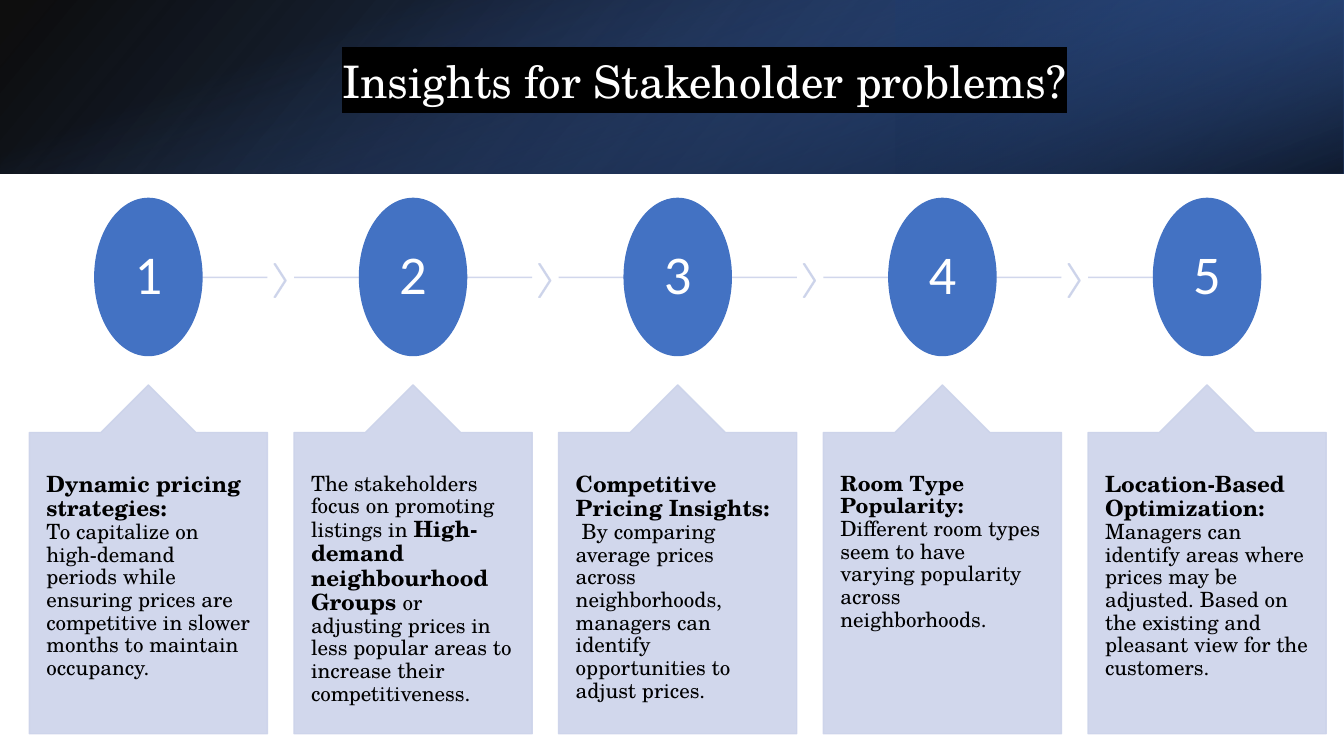
import pptx
import pptx.util
import pptx.dml.color
import pptx.enum.shapes
import pptx.enum.text
import pptx.oxml
import pptx.oxml.ns

Cm, Pt = pptx.util.Cm, pptx.util.Pt
RGBColor = pptx.dml.color.RGBColor
Kind = pptx.enum.shapes.MSO_SHAPE
Align = pptx.enum.text.PP_ALIGN
Anchor = pptx.enum.text.MSO_ANCHOR
qn = pptx.oxml.ns.qn

# Content: each card is a list of paragraphs, each a list of (text, size, bold)
TITLE = "Insights for Stakeholder problems?"
CARDS = [
    [[("Dynamic pricing strategies:", 16, True)],
     [("To capitalize on high-demand periods while ensuring prices are "
       "competitive in slower months to maintain occupancy.", 15, False)]],
    [[("The stakeholders focus on promoting listings in ", 15, False),
      ("High-demand neighbourhood Groups ", 16, True),
      ("or adjusting prices in less popular areas to increase their "
       "competitiveness.", 15, False)]],
    [[("Competitive Pricing Insights:", 16, True)],
     [(" By comparing average prices across neighborhoods, managers can "
       "identify opportunities to adjust prices.", 15, False)]],
    [[("Room Type Popularity:", 15, True),
      (" Different room types seem to have varying popularity across "
       "neighborhoods.", 15, False)]],
    [[("Location-Based Optimization: ", 16, True),
      ("Managers can identify areas where prices may be adjusted. Based on "
       "the existing and pleasant view for the customers.", 15, False)]],
]

# Colours and fonts
BLACK = RGBColor(0x00, 0x00, 0x00)
WHITE = RGBColor(0xFF, 0xFF, 0xFF)
NAVY = RGBColor(0x1F, 0x38, 0x64)
DEEP = RGBColor(0x2F, 0x54, 0x96)
BLUE = RGBColor(0x44, 0x72, 0xC4)
DISC = RGBColor(0x43, 0x72, 0xC3)
PALE = RGBColor(0xCC, 0xD3, 0xEA)
SERIF, SANS = "TeX Gyre Schola", "Calibri"

# Sizes in cm
WIDE, HIGH, BAND = 33.87, 19.05, 4.37
LEFT, STEP, CARD = 0.74, 6.67, 6.0
AXIS = 6.99

# Header layers: box, rotation, flipped, gradient angle, stops (place, colour, opacity)
LAYERS = [
    ((0, 0, WIDE, BAND), 0, True, 140, [(0, BLACK, 95), (100, DEEP, 100)]),
    ((WIDE * 2 / 3, 0, WIDE / 3, BAND), 180, True, 320,
     [(0, NAVY, 67), (19, NAVY, 67), (100, BLUE, 78)]),
    (((WIDE - BAND) / 2, (BAND - WIDE) / 2, BAND, WIDE), 90, False, 340,
     [(0, BLUE, 0), (23, BLUE, 0), (99, BLACK, 73), (100, BLACK, 73)]),
]


def style(thing, **vals):
    for key, val in vals.items():
        setattr(thing, key, val)


def fade(fill, cover):
    """Set the opacity, in percent, of every plain colour below an element."""
    for tone in fill.iter(qn("a:srgbClr")):
        alpha = tone.makeelement(qn("a:alpha"), {"val": str(cover * 1000)})
        tone.append(alpha)


def draw(kind, box, tint, edge=True, adjust=()):
    shape = slide.shapes.add_shape(kind, *map(Cm, box))
    shape.shadow.inherit = False
    shape.fill.solid()
    shape.fill.fore_color.rgb = tint
    if edge:
        shape.line.color.rgb = tint
        shape.line.width = Pt(1)
    else:
        shape.line.fill.background()
    for spot, val in enumerate(adjust):
        shape.adjustments[spot] = val
    return shape


def blend(shape, angle, stops):
    marks = "".join(
        f'<a:gs pos="{place * 1000}"><a:srgbClr val="{tint}">'
        f'<a:alpha val="{cover * 1000}"/></a:srgbClr></a:gs>'
        for place, tint, cover in stops)
    grad = pptx.oxml.parse_xml(
        f'<a:gradFill {pptx.oxml.ns.nsdecls("a")} rotWithShape="1">'
        f'<a:gsLst>{marks}</a:gsLst>'
        f'<a:lin ang="{angle * 60000}" scaled="0"/></a:gradFill>')
    props = shape.element.spPr
    props.replace(props.find(qn("a:solidFill")), grad)


def write(frame, paras, face, tint, align, space, pad, anchor):
    side, top = map(Cm, pad)
    style(frame, word_wrap=True, vertical_anchor=anchor, margin_left=side,
          margin_right=side, margin_top=top, margin_bottom=top)
    for spot, runs in enumerate(paras):
        para = frame.add_paragraph() if spot else frame.paragraphs[0]
        style(para, alignment=align, line_spacing=space)
        for text, size, bold in runs:
            run = para.add_run()
            run.text = text
            run.font.color.rgb = tint
            style(run.font, name=face, size=Pt(size), bold=bold)


deck = pptx.Presentation()
style(deck, slide_width=Cm(WIDE), slide_height=Cm(HIGH))
slide = deck.slides.add_slide(deck.slide_layouts[5])

# Header band
for box, turn, flip, angle, stops in LAYERS:
    layer = draw(Kind.RECTANGLE, box, NAVY, edge=False)
    layer.rotation = turn
    if flip:
        layer.element.spPr.find(qn("a:xfrm")).set("flipH", "1")
    blend(layer, angle, stops)

# Title, in front of the band, with a black highlight
title = slide.shapes.title
title.element.getparent().append(title.element)
style(title, left=Cm(3.81), top=Cm(0.97), width=Cm(27.89), height=Cm(2.44))
write(title.text_frame, [[(TITLE, 32, False)]], SERIF, WHITE,
      Align.CENTER, 0.7, (0.25, 0.13), Anchor.MIDDLE)
face = next(title.element.iter(qn("a:latin")))
face.addprevious(pptx.oxml.parse_xml(
    f'<a:highlight {pptx.oxml.ns.nsdecls("a")}>'
    f'<a:srgbClr val="{BLACK}"/></a:highlight>'))

# Steps: axis line, chevron, numbered disc, callout and its text
last = len(CARDS) - 1
for spot, paras in enumerate(CARDS):
    x = LEFT + spot * STEP
    start = x + CARD / 2 if spot == 0 else x
    end = x + CARD / 2 if spot == last else x + CARD
    axis = slide.shapes.add_connector(
        pptx.enum.shapes.MSO_CONNECTOR.STRAIGHT,
        Cm(start), Cm(AXIS), Cm(end), Cm(AXIS))
    axis.line.color.rgb = PALE
    axis.line.width = Pt(1)
    props = axis.element.spPr
    props.append(props.makeelement(qn("a:effectLst"), {}))
    fade(props, 89)

    if spot < last:
        arrow = draw(Kind.CHEVRON, (x + 6.17, 6.65, 0.3, 0.84), PALE,
                     adjust=[0.9])
        fade(arrow.element.spPr, 89)

    disc = draw(Kind.OVAL, (x + 1.65, 5, 2.7, 3.96), DISC)
    write(disc.text_frame, [[(str(spot + 1), 39, False)]], SANS, WHITE,
          Align.CENTER, 0.9, (0.1, 0.1), Anchor.MIDDLE)

    card = draw(Kind.UP_ARROW_CALLOUT, (x, 9.7, CARD, 8.79), PALE,
                adjust=[0.5, 0.2, 0.2, 1])
    fade(card.element.spPr, 89)
    note = slide.shapes.add_textbox(Cm(x), Cm(11.46), Cm(CARD), Cm(7.04))
    write(note.text_frame, paras, SERIF, BLACK,
          Align.LEFT, 0.9, (0.43, 0.46), Anchor.TOP)

deck.save("out.pptx")
